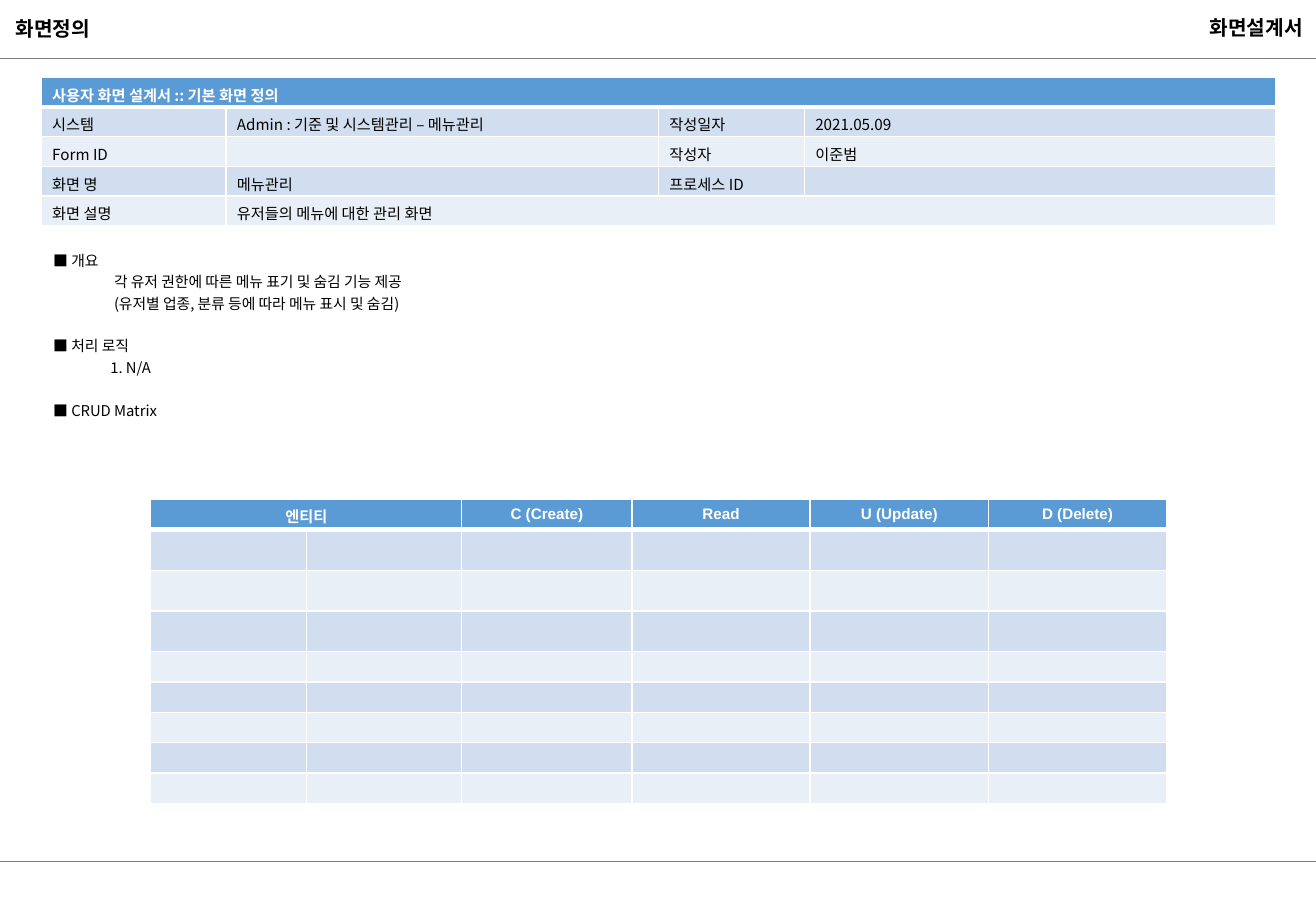
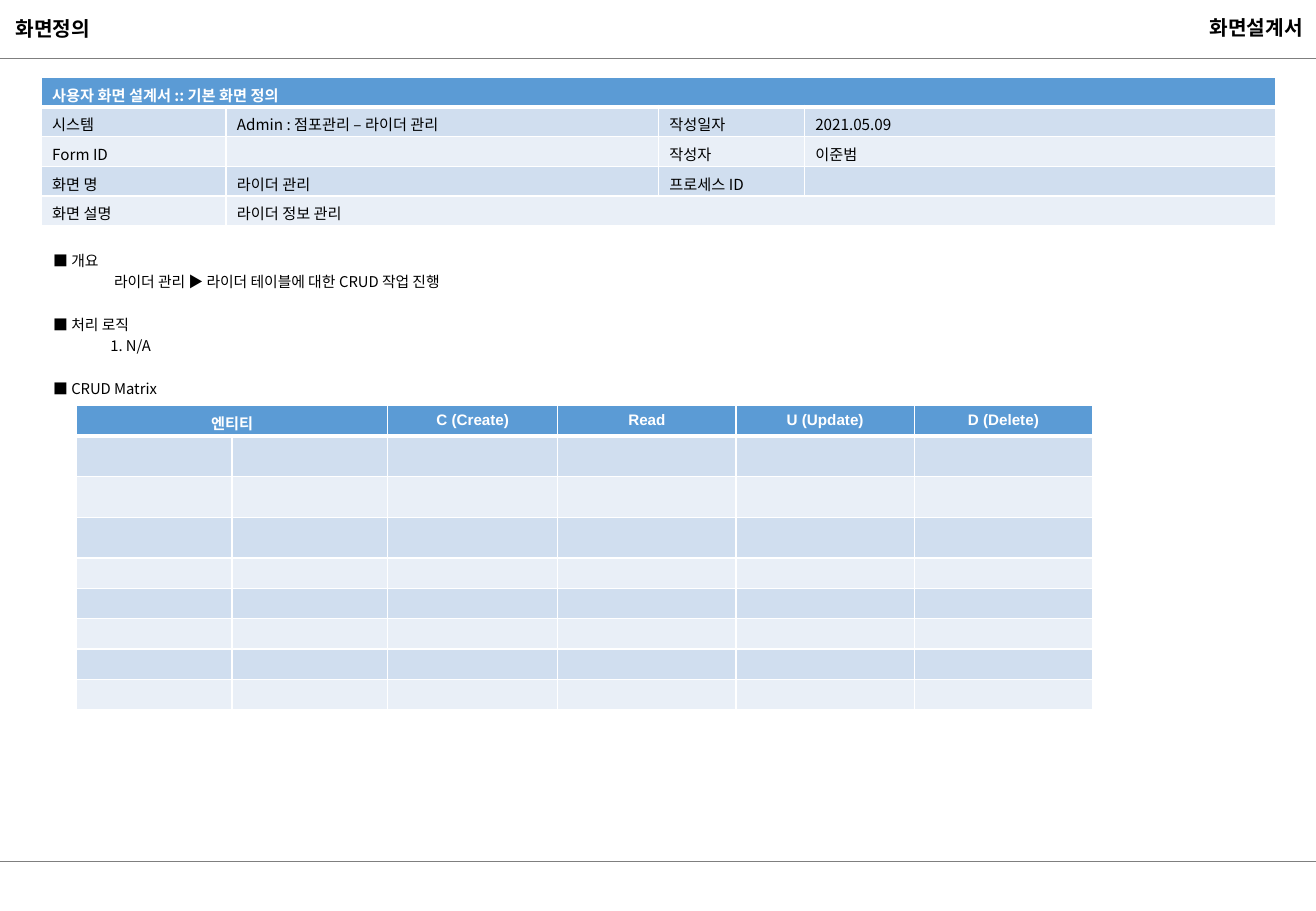
from lxml import etree
from pptx import Presentation
from pptx.dml.color import RGBColor
from pptx.enum.shapes import MSO_CONNECTOR
from pptx.enum.text import MSO_ANCHOR, MSO_AUTO_SIZE, PP_ALIGN
from pptx.oxml.ns import qn
from pptx.util import Inches, Pt

BLACK = RGBColor(0x00, 0x00, 0x00)
WHITE = RGBColor(0xFF, 0xFF, 0xFF)
GRAY = RGBColor(0x7F, 0x7F, 0x7F)
BLUE = RGBColor(0x5B, 0x9B, 0xD5)
BANDS = (RGBColor(0xE9, 0xEF, 0xF7), RGBColor(0xD0, 0xDE, 0xEF))

KOREAN, LATIN = "Noto Sans CJK KR", "Arial"
COLS, ROWS = 108.3, 75  # grid squares across and down the slide
LINE_PITCH = Pt(12.7)
TABLE_SIZE = 9

INFO_COLS = [15.2, 35.6, 12, 38.8]
INFO_ROWS = [2.4] + [2.45] * 4
MATRIX_COLS = [12.8] * 2 + [14] + [14.67] * 3
MATRIX_ROWS = [2.5] + [3.35] * 3 + [2.5] * 5
MATRIX_HEAD = ["엔티티", None, "C (Create)", "Read", "U (Update)", "D (Delete)"]


def grid(n):
    """Length of n grid squares, a tenth of an inch each."""
    return Inches(n / 10)


class Deck:
    def __init__(self):
        self.prs = Presentation()
        self.prs.slide_width, self.prs.slide_height = grid(COLS), grid(ROWS)
        self.slide = None

    def add_slide(self, title, document):
        self.slide = self.prs.slides.add_slide(self.prs.slide_layouts[5])
        self.rule(70.9)
        self.rule(4.8)
        self.heading(self.slide.shapes.title, 0.3, 12, title, PP_ALIGN.LEFT)
        box = self.slide.shapes.add_textbox(0, 0, 0, 0)
        self.heading(box, 77.5, 30.7, document, PP_ALIGN.RIGHT)

    def rule(self, row):
        line = self.slide.shapes.add_connector(
            MSO_CONNECTOR.STRAIGHT, 0, grid(row), grid(COLS), grid(row))
        line.line.color.rgb = GRAY
        line.line.width = Pt(0.75)
        etree.SubElement(line._element.spPr, qn("a:effectLst"))

    def heading(self, sp, col, width, text, align):
        sp.left, sp.top = grid(col), grid(0.8)
        sp.width, sp.height = grid(width), grid(3)
        tf = sp.text_frame
        tf.text = text
        tf.word_wrap = True
        tf.auto_size = MSO_AUTO_SIZE.NONE
        tf.vertical_anchor = MSO_ANCHOR.MIDDLE
        tf.margin_left = tf.margin_right = grid(1)
        tf.margin_top = tf.margin_bottom = 0
        tf.paragraphs[0].alignment = align
        self.style(tf.paragraphs[0], 12, BLACK, True)

    def style(self, p, size, color, bold=False, name=KOREAN):
        for r in p.runs:
            r.font.size, r.font.bold, r.font.name = Pt(size), bold, name
            r.font.color.rgb = color
            etree.SubElement(r._r.get_or_add_rPr(), qn("a:ea"), typeface=KOREAN)

    def outline(self, col, row, sections):
        """Headed sections: (heading, indent of its lines, lines)."""
        box = self.slide.shapes.add_textbox(
            grid(col), grid(row), grid(101.6), grid(13.2))
        tf = box.text_frame
        tf.word_wrap = True
        p = tf.paragraphs[0]
        for i, (heading, indent, lines) in enumerate(sections):
            if i:
                p = tf.add_paragraph()
                p.space_before = LINE_PITCH
            self.outline_line(p, "■ " + heading)
            for line in lines:
                self.outline_line(tf.add_paragraph(), line, indent)

    def outline_line(self, p, text, indent=0):
        p.text = text
        p.line_spacing = LINE_PITCH
        if indent:
            p.level = 1
            p._p.get_or_add_pPr().set("marL", str(grid(indent)))
        self.style(p, 8.8, BLACK)

    def table(self, col, row, widths, heights, data, head_align, head_font):
        """Banded table; None in data joins a cell to the one on its left."""
        table = self.slide.shapes.add_table(
            len(heights), len(widths), grid(col), grid(row),
            grid(sum(widths)), grid(sum(heights))).table
        for column, width in zip(table.columns, widths):
            column.width = grid(width)
        for i, (line, height, texts) in enumerate(zip(table.rows, heights, data)):
            line.height = grid(height)
            for cell, text in zip(line.cells, texts):
                self.cell(cell, text or "", i, head_align, head_font)
            for j, text in enumerate(texts):
                if text is not None:
                    end = j
                    while end + 1 < len(texts) and texts[end + 1] is None:
                        end += 1
                    if end > j:
                        table.cell(i, j).merge(table.cell(i, end))

    def cell(self, cell, text, row, head_align, head_font):
        head = row == 0
        cell.margin_left = cell.margin_right = grid(0.9)
        cell.margin_top, cell.margin_bottom = grid(0.5), 0
        self.borders(cell, top=3 if row == 1 else 1, bottom=3 if head else 1)
        cell.fill.solid()
        cell.fill.fore_color.rgb = BLUE if head else BANDS[row % 2]
        p = cell.text_frame.paragraphs[0]
        if text:
            p.text = text
            p.alignment = head_align if head else PP_ALIGN.LEFT
            self.style(p, TABLE_SIZE, WHITE if head else BLACK, head,
                       head_font if head else KOREAN)
        else:
            etree.SubElement(p._p, qn("a:endParaRPr"), sz=str(TABLE_SIZE * 100))

    def borders(self, cell, top, bottom):
        tc_pr = cell._tc.get_or_add_tcPr()
        for side, width in zip("LRTB", (1, 1, top, bottom)):
            ln = etree.SubElement(tc_pr, qn("a:ln" + side), w=str(Pt(width)))
            fill = etree.SubElement(ln, qn("a:solidFill"))
            etree.SubElement(fill, qn("a:srgbClr"), val=str(WHITE))


def add_definition(deck, system, name, description, overview, matrix_at):
    deck.add_slide("화면정의", "화면설계서")
    info = [
        ["사용자 화면 설계서 :: 기본 화면 정의", None, None, None],
        ["시스템", system, "작성일자", "2021.05.09"],
        ["Form ID", "", "작성자", "이준범"],
        ["화면 명", name, "프로세스 ID", ""],
        ["화면 설명", description, None, None],
    ]
    deck.table(3.4, 6.4, INFO_COLS, INFO_ROWS, info, PP_ALIGN.LEFT, KOREAN)
    deck.outline(3.4, 19.9, [
        ("개요", 5, overview),
        ("처리 로직", 4.7, ["1. N/A"]),
        ("CRUD Matrix", 0, []),
    ])
    blank = [[""] * len(MATRIX_COLS)] * (len(MATRIX_ROWS) - 1)
    deck.table(*matrix_at, MATRIX_COLS, MATRIX_ROWS, [MATRIX_HEAD] + blank,
               PP_ALIGN.CENTER, LATIN)


def main():
    deck = Deck()
    add_definition(
        deck, "Admin : 기준 및 시스템관리 – 메뉴관리", "메뉴관리",
        "유저들의 메뉴에 대한 관리 화면",
        ["각 유저 권한에 따른 메뉴 표기 및 숨김 기능 제공",
         "(유저별 업종, 분류 등에 따라 메뉴 표시 및 숨김)"],
        (12.4, 41.1))
    add_definition(
        deck, "Admin : 점포관리 – 라이더 관리", "라이더 관리", "라이더 정보 관리",
        ["라이더 관리 ▶ 라이더 테이블에 대한 CRUD 작업 진행"],
        (6.3, 33.4))
    deck.prs.save("out.pptx")


if __name__ == "__main__":
    main()
